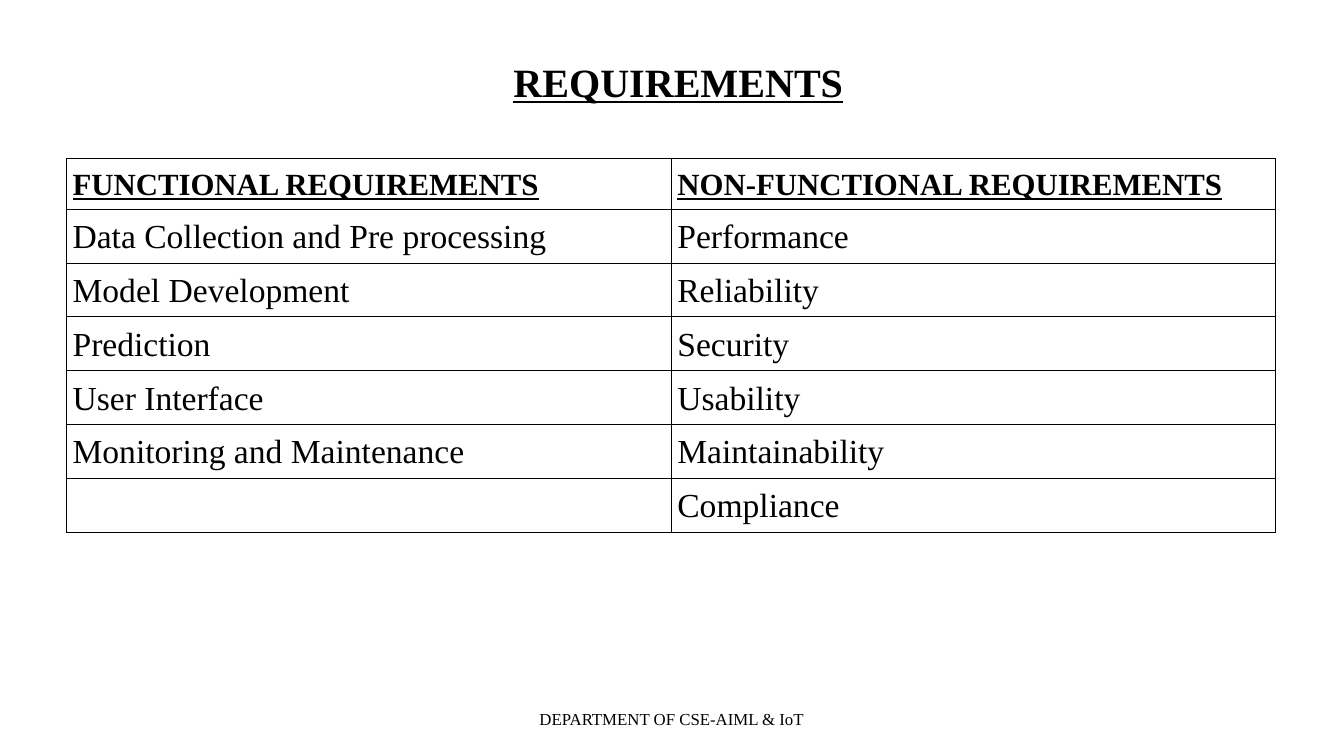
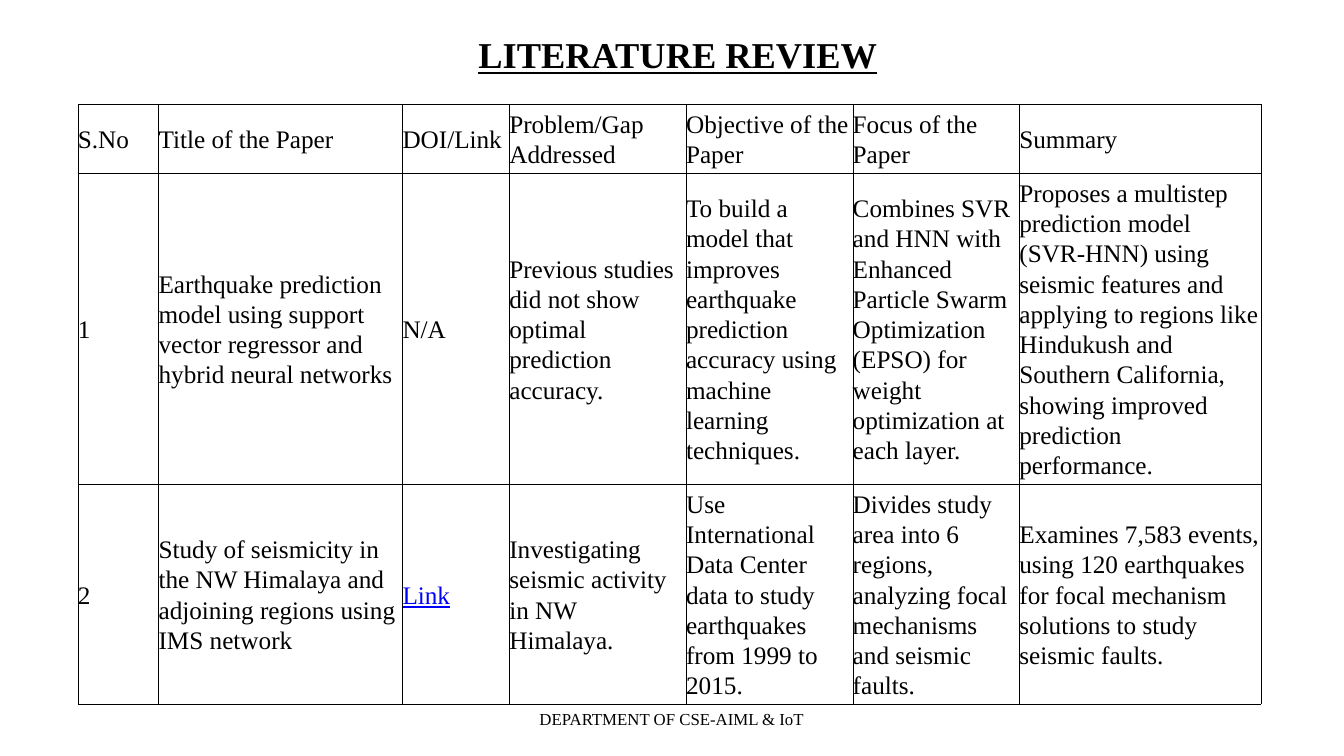
from lxml.etree import SubElement
from pptx import Presentation
from pptx.dml.color import RGBColor
from pptx.enum.text import MSO_ANCHOR, MSO_AUTO_SIZE, PP_ALIGN
from pptx.oxml.ns import qn
from pptx.util import Pt

SCALE = 9144
PAGE_SIZE = (2000, 1125)
FONT = "Times New Roman"
BLACK, LINK_BLUE = "000000", "0000FF"
BORDER_WIDTH = Pt(0.37)
FOOTER = "DEPARTMENT OF CSE-AIML & IoT"
FOOTER_BOX = (672, 1054, 655, 33)

REQUIREMENTS = [
    ("FUNCTIONAL REQUIREMENTS", "NON-FUNCTIONAL REQUIREMENTS"),
    ("Data Collection and Pre processing", "Performance"),
    ("Model Development", "Reliability"),
    ("Prediction", "Security"),
    ("User Interface", "Usability"),
    ("Monitoring and Maintenance", "Maintainability"),
    ("", "Compliance"),
]

PAPERS = [
    ("S.No", "Title of the Paper", "DOI/Link", "Problem/Gap Addressed",
     "Objective of the Paper", "Focus of the Paper", "Summary"),
    ("1",
     "Earthquake prediction model using support vector regressor and hybrid neural networks",
     "N/A",
     "Previous studies did not show optimal prediction accuracy.",
     "To build a model that improves earthquake prediction accuracy using machine "
     "learning techniques.",
     "Combines SVR and HNN with Enhanced Particle Swarm Optimization (EPSO) for weight "
     "optimization at each layer.",
     "Proposes a multistep prediction model (SVR-HNN) using seismic features and applying "
     "to regions like Hindukush and Southern California, showing improved prediction "
     "performance."),
    ("2",
     "Study of seismicity in the NW Himalaya and adjoining regions using IMS network",
     "Link",
     "Investigating seismic activity in NW Himalaya.",
     "Use International Data Center data to study earthquakes from 1999 to 2015.",
     "Divides study area into 6 regions, analyzing focal mechanisms and seismic faults.",
     "Examines 7,583 events, using 120 earthquakes for focal mechanism solutions to study "
     "seismic faults."),
]

SLIDES = [
    dict(title="REQUIREMENTS", title_box=(764, 85, 564, 80), title_size=43,
         rows=REQUIREMENTS, corner=(98, 236), widths=[900] * 2,
         heights=[75] + [80] * 6, margin=10, body=dict(size=36),
         special={text: dict(size=33, bold=True, underline=True)
                  for text in REQUIREMENTS[0]}),
    dict(title="LITERATURE REVIEW", title_box=(712, 48, 729, 73), title_size=39,
         rows=PAPERS, corner=(116, 155), widths=[120, 363, 159, 263, 248, 248, 360],
         heights=[103, 463, 327], margin=0, body=dict(size=27),
         special={"Link": dict(color=LINK_BLUE, underline=True)}),
]


def px(length):
    return length * SCALE


def rgb(color):
    return RGBColor.from_string(color)


def write(frame, text, size=18, color=BLACK, bold=False, underline=False,
          align=PP_ALIGN.LEFT):
    para = frame.paragraphs[0]
    para.alignment = align
    para.line_spacing = Pt(size * 1.2)
    span = para.add_run()
    span.text = text
    span.font.name = FONT
    span.font.size = Pt(size)
    span.font.bold = bold
    span.font.underline = underline
    span.font.color.rgb = rgb(color)


def set_margins(target, margin):
    target.margin_left = target.margin_right = px(margin)
    target.margin_top = target.margin_bottom = px(margin)


def prepare(frame):
    set_margins(frame, 0)
    frame.word_wrap = True
    frame.auto_size = MSO_AUTO_SIZE.NONE
    frame.vertical_anchor = MSO_ANCHOR.TOP
    return frame


def add_title(page, text, box, size):
    title = page.shapes.title
    title.left, title.top, title.width, title.height = map(px, box)
    write(prepare(title.text_frame), text, size=size, bold=True, underline=True)


def add_footer(page):
    box = page.shapes.add_textbox(*map(px, FOOTER_BOX))
    write(prepare(box.text_frame), FOOTER, align=PP_ALIGN.CENTER)


def add_borders(cell):
    properties = cell._tc.get_or_add_tcPr()
    for side in ("lnL", "lnR", "lnT", "lnB"):
        line = SubElement(properties, qn(f"a:{side}"), w=str(BORDER_WIDTH))
        fill = SubElement(line, qn("a:solidFill"))
        SubElement(fill, qn("a:srgbClr"), val=BLACK)


def add_grid(page, rows, corner, widths, heights, margin, body, special):
    area = (*corner, sum(widths), sum(heights))
    table = page.shapes.add_table(len(rows), len(widths), *map(px, area)).table
    table.first_row = table.horz_banding = False
    for column, width in zip(table.columns, widths):
        column.width = px(width)
    for row, height, texts in zip(table.rows, heights, rows):
        row.height = px(height)
        for cell, text in zip(row.cells, texts):
            set_margins(cell, margin)
            cell.vertical_anchor = MSO_ANCHOR.MIDDLE
            add_borders(cell)
            cell.fill.background()
            if text:
                write(cell.text_frame, text, **{**body, **special.get(text, {})})


def main():
    deck = Presentation()
    deck.slide_width, deck.slide_height = map(px, PAGE_SIZE)
    title_only = deck.slide_layouts[5]
    for content in SLIDES:
        page = deck.slides.add_slide(title_only)
        grid = dict(content)
        add_title(page, grid.pop("title"), grid.pop("title_box"), grid.pop("title_size"))
        add_grid(page, **grid)
        add_footer(page)
    deck.save("out.pptx")


if __name__ == "__main__":
    main()
